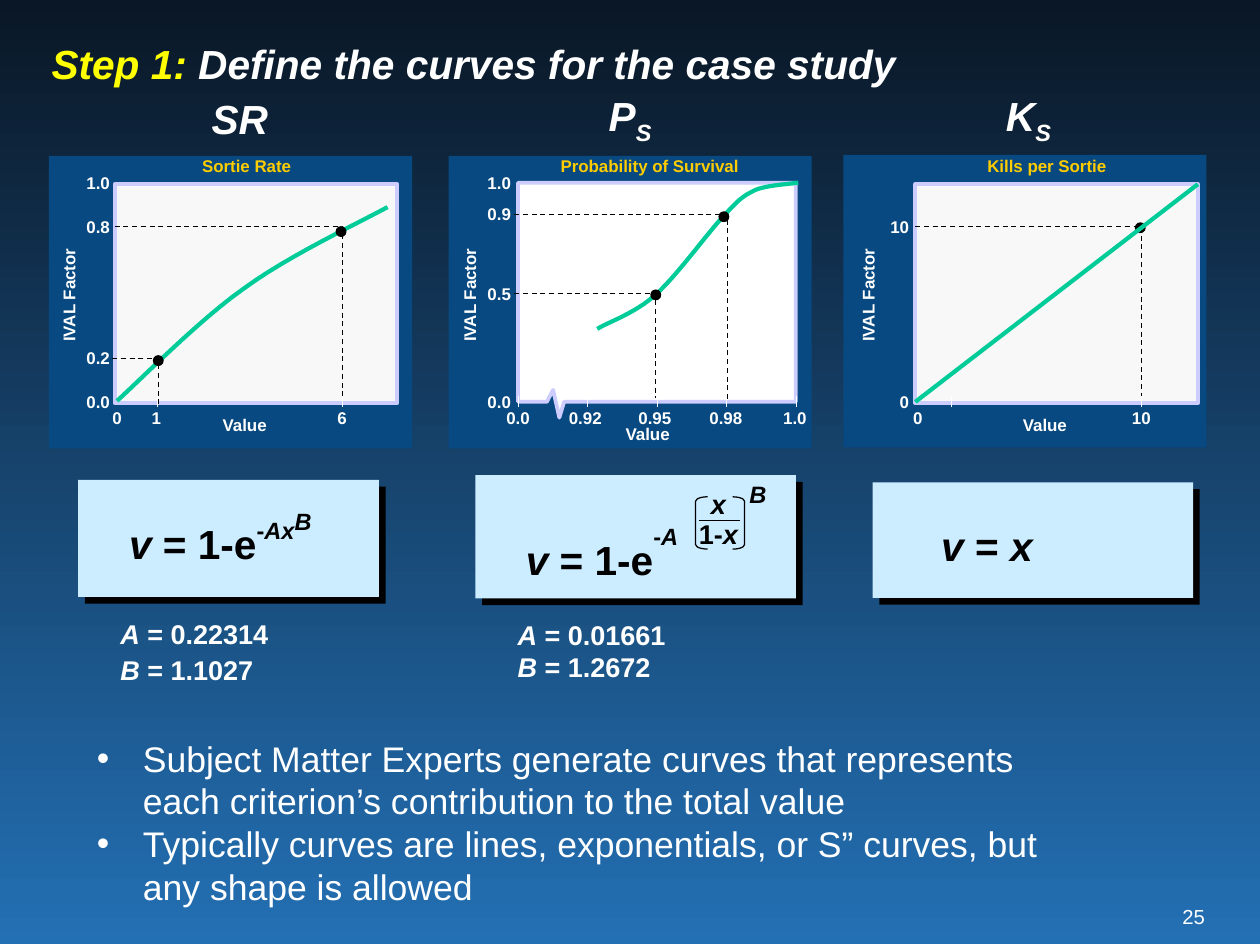
"""Build the slide that defines the value curves for the case study."""
from lxml import etree
from pptx import Presentation
from pptx.dml.color import RGBColor
from pptx.enum.dml import MSO_LINE
from pptx.enum.shapes import MSO_CONNECTOR, MSO_SHAPE
from pptx.enum.text import MSO_ANCHOR, MSO_AUTO_SIZE, PP_ALIGN
from pptx.oxml.ns import qn
from pptx.util import Cm, Pt

INK = {"white": "FFFFFF", "black": "000000", "yellow": "FFFF00", "gold": "FFCC00",
       "panel": "074980", "plot": "F8F8F8", "edge": "CCCCFF", "curve": "00CC99",
       "face": "CCECFF", "top": "0A1726", "base": "2370B4"}
INK = {name: RGBColor.from_string(code) for name, code in INK.items()}
LEFT, MID, RIGHT = PP_ALIGN.LEFT, PP_ALIGN.CENTER, PP_ALIGN.RIGHT
TINY = {"size": Pt(10), "bold": True}
NOTE = {"size": Pt(16), "bold": True}
HEAD = {"size": Pt(24), "bold": True}
FREE = {"word_wrap": False, "auto_size": MSO_AUTO_SIZE.SHAPE_TO_FIT_TEXT}
WRAP = {**FREE, "word_wrap": True}

deck = Presentation()
deck.slide_width, deck.slide_height = Cm(10.34 * 2.54), Cm(7.75 * 2.54)
slide = deck.slides.add_slide(deck.slide_layouts[5])
shapes = slide.shapes


def paint(shape, fill=None, line=None, width=0.75, dash=False):
    """Set fill and line, and drop the shadow."""
    if hasattr(shape, "fill"):
        shape.shadow.inherit = False
        if fill:
            shape.fill.solid()
            shape.fill.fore_color.rgb = INK[fill]
        else:
            shape.fill.background()
    else:
        etree.SubElement(shape._element.spPr, qn("a:effectLst"))
    if not line:
        shape.line.fill.background()
        return
    shape.line.color.rgb = INK[line]
    shape.line.width = Pt(width)
    if dash:
        shape.line.dash_style = MSO_LINE.DASH


def write(box, rows, font, ink="white", frame=FREE, para=None):
    """Fill a text shape with rows of (text, italic, baseline) runs."""
    if isinstance(rows, str):
        rows = [[(rows, False, 0)]]
    body = box.text_frame
    for key, val in frame.items():
        setattr(body, key, val)
    for i, row in enumerate(rows):
        par = body.paragraphs[0] if i == 0 else body.add_paragraph()
        for key, val in {"alignment": LEFT, **(para or {})}.items():
            setattr(par, key, val)
        for word, slant, base in row:
            run = par.add_run()
            run.text = word
            for key, val in {"name": "Arial", "italic": slant, **font}.items():
                setattr(run.font, key, val)
            run.font.color.rgb = INK[ink]
            if base:
                run._r.get_or_add_rPr().set("baseline", str(base * 1000))


back = slide.background.fill
back.gradient()
back.gradient_angle = 270
for stop, name in zip(back.gradient_stops, ("top", "base")):
    stop.color.rgb = INK[name]

title = shapes.title
title.left, title.top, title.width, title.height = map(Cm, (0.82, 0, 21.51, 2.74))
write(title, [[("Step 1:", True, 0), (" Define the curves for the case study", True, 0)]], HEAD,
      frame={"word_wrap": True, "auto_size": MSO_AUTO_SIZE.NONE,
             "vertical_anchor": MSO_ANCHOR.MIDDLE},
      para={"line_spacing": Pt(26)})
title.text_frame.paragraphs[0].runs[0].font.color.rgb = INK["yellow"]

charts = [
    {"name": "Sortie Rate", "panel": (1.02, 3.25), "plot": (2.39, 3.84),
     "mid": 5.14, "side": 1.44, "edge": 2.54, "low": 8.88,
     "x": [("0", 2.44), ("1", 3.26), ("6", 7.13)], "marks": [3.28, 7.14],
     "y": [("0.0", 8.39), ("0.2", 7.48), ("0.8", 4.74), ("1.0", 3.82)],
     "curve": [(2.44, 8.36), (2.87, 7.98), (4.14, 6.68), (5.08, 6.02),
               (6.02, 5.33), (7.44, 4.67), (8.08, 4.32)],
     "guides": [(2.39, 7.14, 4.72, 8.43), (2.34, 3.3, 7.47, 8.43)],
     "dots": [(7.11, 4.83), (3.3, 7.52)]},
    {"name": "Probability of Survival", "panel": (9.35, 3.25), "plot": None,
     "mid": 13.54, "side": 9.79, "edge": 10.9, "low": 9.06,
     "x": [("0.0", 10.8), ("0.92", 12.2), ("0.95", 13.65), ("0.98", 15.13), ("1.0", 16.57)],
     "marks": [10.8 + 1.45 * i for i in range(5)],
     "y": [("0.0", 8.39), ("0.5", 6.13), ("0.9", 4.48), ("1.0", 3.82)],
     "curve": [(12.45, 6.86), (12.65, 6.73), (13.21, 6.55), (13.64, 6.17), (14.1, 5.77),
               (14.73, 4.88), (15.09, 4.5), (15.42, 4.14), (15.49, 4.09), (15.75, 3.96),
               (16, 3.86), (16.46, 3.84), (16.64, 3.81)],
     "guides": [(10.72, 15.16, 4.47, 8.38), (10.72, 13.67, 6.12, 8.31)],
     "dots": [(15.09, 4.52), (13.67, 6.15)]},
    {"name": "Kills per Sortie", "panel": (17.58, 3.23), "plot": (19.08, 3.84),
     "mid": 21.82, "side": 18.1, "edge": 19.2, "low": 8.88,
     "x": [("0", 19.13), ("10", 23.79)], "marks": [19.84, 23.79],
     "y": [("0", 8.39), ("10", 4.74)], "curve": [],
     "guides": [(19.08, 23.8, 4.72, 8.36)], "dots": [(23.77, 4.75)]},
]
broken = [(11.4, 8.38), (10.8, 8.38), (10.8, 3.81), (16.59, 3.81),
          (16.59, 8.38), (11.76, 8.38), (11.66, 8.71), (11.53, 8.13)]

for chart in charts:
    paint(shapes.add_shape(MSO_SHAPE.RECTANGLE, *map(Cm, (*chart["panel"], 7.57, 6.1))), "panel")
    outlines = []
    if chart["plot"]:
        plot = shapes.add_shape(MSO_SHAPE.RECTANGLE, *map(Cm, (*chart["plot"], 5.89, 4.57)))
        paint(plot, "plot", "edge", 2.25)
    else:
        outlines.append((broken, True, ("white", "edge", 2.25)))
    for x, turn, y, low in chart["guides"]:
        outlines.append(([(x, y), (turn, y), (turn, low)], False, (None, "black", 0.75, True)))
    knots = chart["curve"]
    trace = knots[:1]
    for i in range(0, len(knots) - 1, 3):
        for t in [n / 12 for n in range(1, 13)]:
            share = ((1 - t) ** 3, 3 * t * (1 - t) ** 2, 3 * t * t * (1 - t), t ** 3)
            trace.append([sum(s * p[k] for s, p in zip(share, knots[i:i + 4])) for k in (0, 1)])
    if trace:
        outlines.append((trace, False, (None, "curve", 2.5)))
    for points, shut, style in outlines:
        points = [(Cm(x), Cm(y)) for x, y in points]
        path = shapes.build_freeform(*points[0])
        path.add_line_segments(points[1:], close=shut)
        paint(path.convert_to_shape(), *style)
    for x in chart["marks"]:
        mark = shapes.add_connector(MSO_CONNECTOR.STRAIGHT, Cm(x), Cm(8.48), Cm(x), Cm(8.26))
        paint(mark, line="white")
    for x, y in chart["dots"]:
        dot = shapes.add_shape(MSO_SHAPE.OVAL, Cm(x - 0.1), Cm(y - 0.1), Cm(0.2), Cm(0.2))
        paint(dot, "black", "black")
    labels = [(chart["name"], chart["mid"], 3.48, "gold", 0, MID),
              ("Value", chart["mid"] - 0.04, chart["low"], "white", 0, MID),
              ("IVAL Factor", chart["side"], 6.16, "white", 270, MID)]
    labels += [(word, x, 8.72, "white", 0, MID) for word, x in chart["x"]]
    labels += [(word, chart["edge"], y, "white", 0, RIGHT) for word, y in chart["y"]]
    for word, x, y, ink, turn, align in labels:
        wide = 0.17 * len(word) + 0.62
        left = x - wide if align == RIGHT else x - wide / 2
        label = shapes.add_textbox(Cm(left), Cm(y - 0.35), Cm(wide), Cm(0.69))
        label.rotation = turn
        write(label, word, TINY, ink, para={"alignment": align})

slope = shapes.add_connector(MSO_CONNECTOR.STRAIGHT, *map(Cm, (19.08, 8.38, 24.97, 3.84)))
paint(slope, line="curve", width=2.5)

heads = [((4.16, 1.83), [("SR", True, 0)]),
         ((12.44, 1.77), [("P", True, 0), ("S", True, -25)]),
         ((20.72, 1.77), [("K", True, 0), ("S", True, -25)])]
for spot, row in heads:
    write(shapes.add_textbox(*map(Cm, (*spot, 2.18, 1.27))), [row], HEAD, frame=WRAP)

low = {**WRAP, "vertical_anchor": MSO_ANCHOR.BOTTOM}
rules = [
    ((1.63, 10.01, 6.27, 2.44), (2.44, 10.82, 4.57, 1.14), {**low, "margin_top": 0},
     [("v", True, 0), (" = 1-e", False, 0), ("-", False, 50), ("Ax", True, 50), ("B", True, 72)]),
    ((9.91, 9.91, 6.68, 2.57), (10.71, 10.77, 3.86, 1.27), WRAP,
     [("v", True, 0), (" = 1-e", False, 0), ("-", False, 74), ("A", True, 74)]),
    ((18.19, 10.06, 6.68, 2.41), (19.37, 10.73, 4.57, 1.27), low,
     [("v", True, 0), (" = ", False, 0), ("x", True, 0)]),
]
for (x, y, wide, high), spot, frame, row in rules:
    for shift, ink in ((0.14, "black"), (0, "face")):
        card = shapes.add_shape(MSO_SHAPE.RECTANGLE, *map(Cm, (x + shift, y + shift, wide, high)))
        paint(card, ink)
    write(shapes.add_textbox(*map(Cm, spot)), [row], HEAD, "black", frame)

write(shapes.add_textbox(*map(Cm, (14.25, 10.08, 1.45, 1.55))),
      [[("x", True, 0)], [("1-", False, 0), ("x", True, 0)]], NOTE, "black",
      para={"line_spacing": Pt(18), "alignment": MID})
paint(shapes.add_connector(MSO_CONNECTOR.STRAIGHT, *map(Cm, (14.58, 10.85, 15.42, 10.85))),
      line="black")
for x, turn in ((14.5, 0), (15.27, 180)):
    hook = shapes.add_shape(MSO_SHAPE.LEFT_BRACKET, *map(Cm, (x, 10.36, 0.25, 1.09)))
    hook.adjustments[0] = 0.37
    hook.rotation = turn
    paint(hook, line="black")
write(shapes.add_textbox(*map(Cm, (15.37, 9.88, 0.86, 0.84))), [[("B", True, 0)]],
      {"size": Pt(14), "bold": True}, "black")

terms = [((2.26, 12.8, 4.42, 1.68), 18, "0.22314", "1.1027"),
         ((10.54, 12.88, 4.04, 1.55), 16, "0.01661", "1.2672")]
for spot, pitch, *values in terms:
    rows = [[(name, True, 0), (f" = {val}", False, 0)] for name, val in zip("AB", values)]
    write(shapes.add_textbox(*map(Cm, spot)), rows, NOTE, frame=WRAP,
          para={"line_spacing": Pt(pitch), "space_before": Pt(3.2)})

points = ["Subject Matter Experts generate curves that represents each criterion’s "
          "contribution to the total value",
          "Typically curves are lines, exponentials, or S” curves, but any shape is allowed"]
list_box = shapes.add_textbox(*map(Cm, (1.77, 15.24, 21.29, 3.84)))
write(list_box, [[(point, False, 0)] for point in points], {"size": Pt(21)}, frame=WRAP)
for par in list_box.text_frame.paragraphs:
    props = par._p.get_or_add_pPr()
    props.set("marL", str(Cm(0.96)))
    props.set("indent", str(-Cm(0.96)))
    etree.SubElement(props, qn("a:buFont")).set("typeface", "Arial")
    etree.SubElement(props, qn("a:buChar")).set("char", "•")

bare = {f"margin_{side}": 0 for side in ("left", "top", "right", "bottom")}
write(shapes.add_textbox(*map(Cm, (24.61, 18.85, 0.51, 0.51))), "25", {"size": Pt(12)},
      frame={**FREE, **bare}, para={"alignment": RIGHT})

deck.save("out.pptx")
